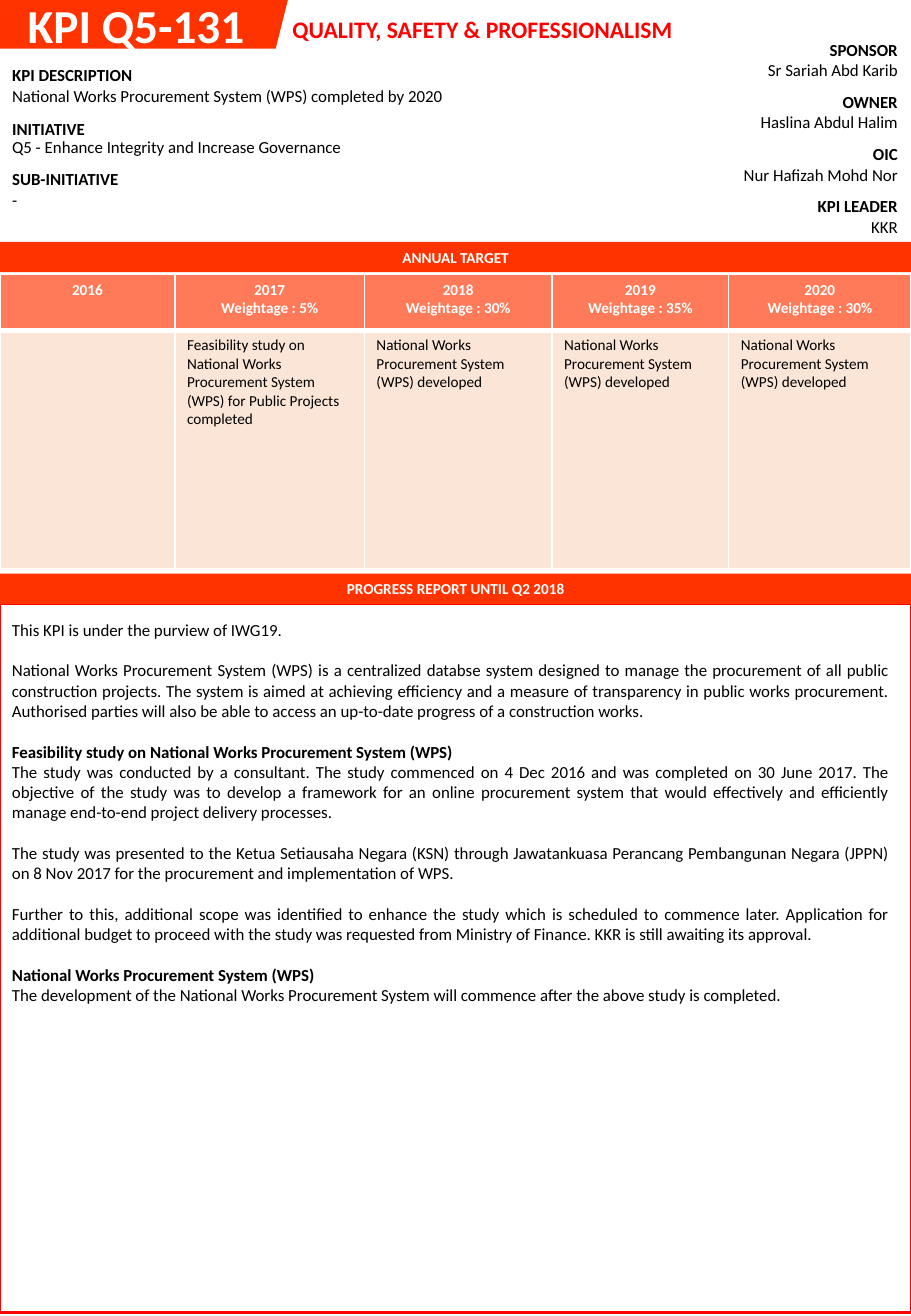
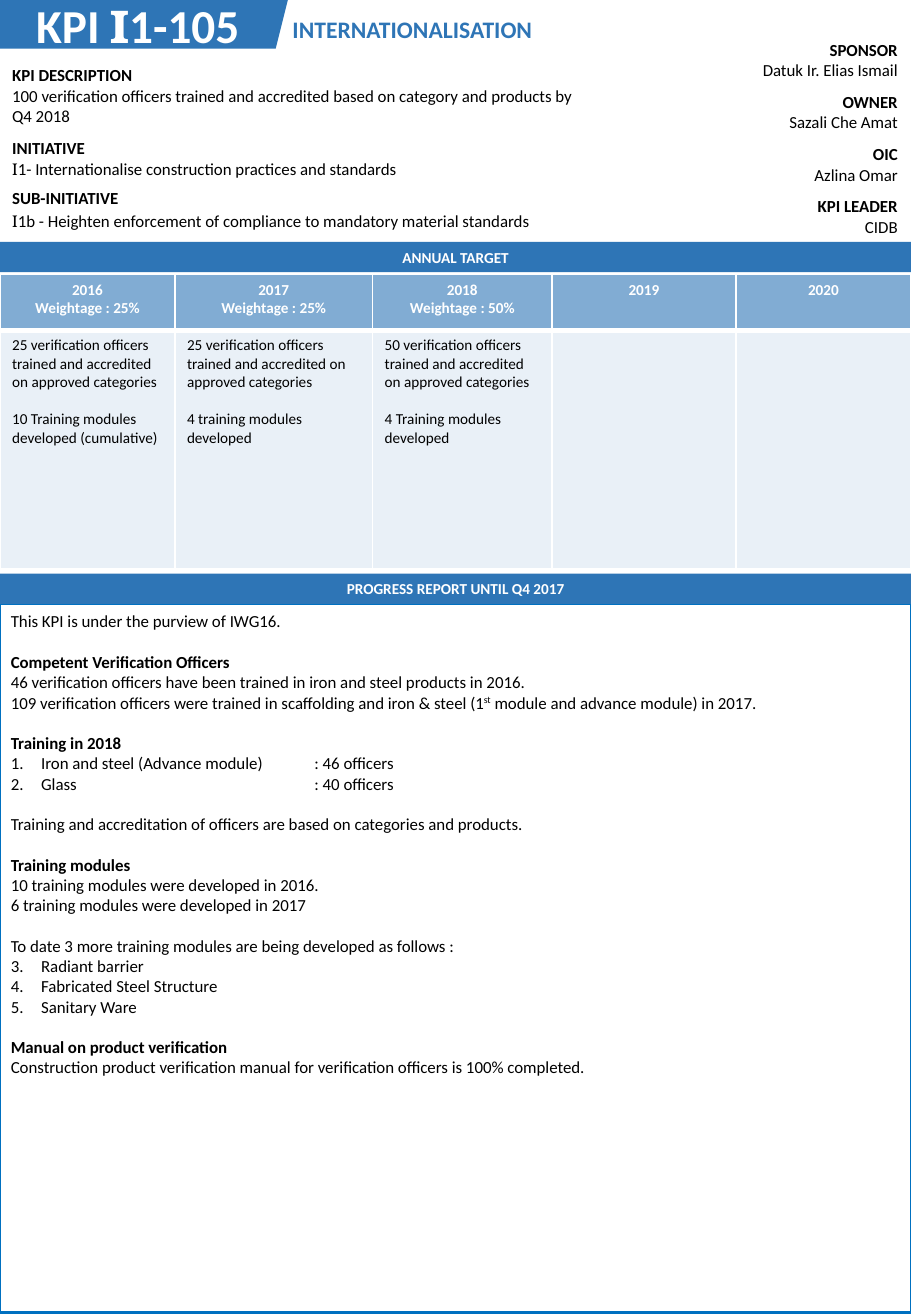
from dataclasses import dataclass

from lxml.etree import SubElement
from pptx import Presentation
from pptx.dml.color import RGBColor
from pptx.dml.fill import FillFormat
from pptx.enum.shapes import MSO_SHAPE
from pptx.enum.text import MSO_ANCHOR, PP_ALIGN
from pptx.oxml.ns import qn
from pptx.shapes.autoshape import Shape
from pptx.slide import Slide
from pptx.table import Table, _Cell
from pptx.text.text import TextFrame, _Paragraph
from pptx.util import Inches, Pt

PAGE_W, PAGE_H = 7.5, 10.83
BAND_H = 0.25
TARGET_TOP, REPORT_TOP = 1.99, 4.72
REPORT_BODY_TOP = REPORT_TOP + BAND_H
TARGET_ROWS = (0.46, 1.96)
PEOPLE_ROW = 0.43
PEOPLE = ("SPONSOR", "OWNER", "OIC", "KPI LEADER")
SUMMARY = ("KPI DESCRIPTION", "INITIATIVE", "SUB-INITIATIVE")
SUMMARY_ROWS = (0.44, 0.36, 0.2)

WHITE = RGBColor(0xFF, 0xFF, 0xFF)
BLACK = RGBColor(0x00, 0x00, 0x00)
ORANGE = RGBColor(0xFF, 0x33, 0x00)
RED = RGBColor(0xFF, 0x00, 0x00)
PEACH = RGBColor(0xFB, 0xE5, 0xD6)
BLUE = RGBColor(0x2E, 0x75, 0xB6)
BRIGHT_BLUE = RGBColor(0x00, 0x70, 0xC0)
SANS, SERIF = "Calibri", "TeX Gyre Bonum"


@dataclass(frozen=True)
class Run:
    text: str
    font: str = SANS
    raised: bool = False


@dataclass(frozen=True)
class Line:
    """One paragraph; gap is the space before it in points, number its place in a list."""
    content: str | tuple[Run, ...]
    bold: bool = False
    gap: float = 0
    align: PP_ALIGN = PP_ALIGN.LEFT
    spacing: float = 1
    list_start: int = 0


@dataclass(frozen=True)
class Tint:
    color: RGBColor
    opacity: int = 100


@dataclass(frozen=True)
class Target:
    """One year of the annual target; share is its part of the slide width in percent."""
    year: int
    share: float
    weightage: str = ""
    goals: tuple[str, ...] = ()


@dataclass(frozen=True)
class Kpi:
    code: str | tuple[Run, ...]
    code_left: float
    theme: str
    main: RGBColor
    theme_color: RGBColor
    outline: RGBColor
    head_tint: Tint
    body_tint: Tint
    people: tuple[str, ...]
    summary: tuple[str | tuple[Run, ...], ...]
    summary_width: float
    targets: tuple[Target, ...]
    period: str
    report_box: tuple[float, float, float]
    report: tuple[Line, ...]


def number_paragraph(paragraph: _Paragraph, start: int) -> None:
    properties = paragraph._p.get_or_add_pPr()
    properties.set("marL", str(Inches(0.25)))
    properties.set("indent", str(-Inches(0.25)))
    numbering = SubElement(properties, qn("a:buAutoNum"), type="arabicPeriod")
    if start > 1:
        numbering.set("startAt", str(start))
    tabs = SubElement(properties, qn("a:tabLst"))
    SubElement(tabs, qn("a:tab"), pos=str(Inches(2.5)), algn="l")


def write(frame: TextFrame, lines: tuple[Line, ...], size: float, color: RGBColor) -> None:
    for index, line in enumerate(lines):
        paragraph = frame.paragraphs[0] if index == 0 else frame.add_paragraph()
        paragraph.alignment = line.align
        if line.gap:
            paragraph.space_before = Pt(line.gap)
        if line.spacing != 1:
            paragraph.line_spacing = line.spacing
        if line.list_start:
            number_paragraph(paragraph, line.list_start)
        runs = (Run(line.content),) if isinstance(line.content, str) else line.content
        for part in runs:
            run = paragraph.add_run()
            run.text = part.text
            font = run.font
            font.name, font.size, font.bold = part.font, Pt(size), line.bold
            font.color.rgb = color
            if part.raised:
                font._element.set("baseline", "30000")


def add_text(slide: Slide, left: float, top: float, width: float, height: float,
             lines: tuple[Line, ...], size: float, color: RGBColor, wrap: bool = True) -> None:
    box = slide.shapes.add_textbox(Inches(left), Inches(top), Inches(width), Inches(height))
    box.text_frame.word_wrap = wrap
    write(box.text_frame, lines, size, color)


def add_plain_shape(slide: Slide, preset: MSO_SHAPE, left: float, top: float, width: float,
                    height: float, fill: RGBColor | None = None,
                    outline: RGBColor | None = None) -> Shape:
    shape = slide.shapes.add_shape(preset, Inches(left), Inches(top), Inches(width), Inches(height))
    shape.shadow.inherit = False
    if fill is None:
        shape.fill.background()
    else:
        shape.fill.solid()
        shape.fill.fore_color.rgb = fill
    if outline is None:
        shape.line.fill.background()
    else:
        shape.line.color.rgb = outline
        shape.line.width = Pt(1.5)
    return shape


def add_band(slide: Slide, top: float, caption: str, color: RGBColor) -> None:
    band = add_plain_shape(slide, MSO_SHAPE.RECTANGLE, 0, top, PAGE_W, BAND_H, color)
    band.text_frame.vertical_anchor = MSO_ANCHOR.MIDDLE
    write(band.text_frame, (Line(caption, bold=True, align=PP_ALIGN.CENTER),), 9, WHITE)


def add_grid(slide: Slide, left: float, top: float, widths: tuple[float, ...],
             heights: tuple[float, ...]) -> Table:
    """Add a table without banding, with clear cells and narrow margins."""
    table = slide.shapes.add_table(len(heights), len(widths), Inches(left), Inches(top),
                                   Inches(sum(widths)), Inches(sum(heights))).table
    table.first_row = table.horz_banding = False
    for column, width in zip(table.columns, widths):
        column.width = Inches(width)
    for row, height in zip(table.rows, heights):
        row.height = Inches(height)
    for cell in table.iter_cells():
        cell.fill.background()
        cell.margin_left = cell.margin_right = Inches(0.1)
        cell.margin_top = cell.margin_bottom = Inches(0.05)
    return table


def apply_tint(fill: FillFormat, cell: _Cell, tint: Tint) -> None:
    fill.solid()
    fill.fore_color.rgb = tint.color
    if tint.opacity < 100:
        color = cell._tc.tcPr.find(f"{qn('a:solidFill')}/{qn('a:srgbClr')}")
        SubElement(color, qn("a:alpha"), val=str(tint.opacity * 1000))


def add_white_borders(cell: _Cell, top: float, bottom: float) -> None:
    properties = cell._tc.get_or_add_tcPr()
    sides = (("a:lnL", 1), ("a:lnR", 1), ("a:lnT", top), ("a:lnB", bottom))
    for index, (side, width) in enumerate(sides):
        border = SubElement(properties, qn(side), w=str(Pt(width)))
        SubElement(SubElement(border, qn("a:solidFill")), qn("a:srgbClr"), val=str(WHITE))
        properties.insert(index, border)


def add_targets(slide: Slide, kpi: Kpi) -> None:
    widths = tuple(PAGE_W * target.share / 100 for target in kpi.targets)
    table = add_grid(slide, 0, 2.26, widths, TARGET_ROWS)
    for column, target in enumerate(kpi.targets):
        head, body = table.cell(0, column), table.cell(1, column)
        apply_tint(head.fill, head, kpi.head_tint)
        apply_tint(body.fill, body, kpi.body_tint)
        add_white_borders(head, 1, 3)
        add_white_borders(body, 3, 1)
        captions = [str(target.year)]
        if target.weightage:
            captions.append(f"Weightage : {target.weightage}")
        write(head.text_frame, tuple(Line(caption, bold=True, align=PP_ALIGN.CENTER)
                                     for caption in captions), 9, WHITE)
        write(body.text_frame, tuple(Line(goal, gap=11 if index else 0)
                                     for index, goal in enumerate(target.goals)), 9, BLACK)


def add_people(slide: Slide, kpi: Kpi) -> None:
    table = add_grid(slide, 5.05, 0.28, (2.44,), (PEOPLE_ROW,) * len(PEOPLE))
    for row, (role, person) in enumerate(zip(PEOPLE, kpi.people)):
        cell = table.cell(row, 0)
        cell.margin_bottom = Inches(0.04)
        write(cell.text_frame, (Line(role, bold=True, align=PP_ALIGN.RIGHT),
                                Line(person, align=PP_ALIGN.RIGHT)), 10, BLACK)


def add_summary(slide: Slide, kpi: Kpi) -> None:
    table = add_grid(slide, 0, 0.49, (kpi.summary_width,), SUMMARY_ROWS)
    for row, (heading, content) in enumerate(zip(SUMMARY, kpi.summary)):
        spacing = 0.88 if heading == "INITIATIVE" else 1
        write(table.cell(row, 0).text_frame,
              (Line(heading, bold=True), Line(content, spacing=spacing)), 10, BLACK)


def add_kpi_slide(deck: Presentation, kpi: Kpi) -> None:
    slide = deck.slides.add_slide(deck.slide_layouts[6])
    add_plain_shape(slide, MSO_SHAPE.PARALLELOGRAM, -0.17, 0, 2.54, 0.4, kpi.main)
    add_targets(slide, kpi)
    add_plain_shape(slide, MSO_SHAPE.RECTANGLE, 0, REPORT_BODY_TOP, PAGE_W, 5.83,
                    outline=kpi.outline)
    add_people(slide, kpi)
    add_summary(slide, kpi)
    add_text(slide, 2.31, 0.07, 3.46, 0.34, (Line(kpi.theme, bold=True),), 14,
             kpi.theme_color, wrap=False)
    add_text(slide, kpi.code_left, -0.08, 2.4, 0.57, (Line(kpi.code, bold=True),), 28, WHITE)
    add_band(slide, REPORT_TOP, f"PROGRESS REPORT UNTIL {kpi.period}", kpi.main)
    add_band(slide, TARGET_TOP, "ANNUAL TARGET", kpi.main)
    left, top, width = kpi.report_box
    add_text(slide, left, top, width, 3.9, kpi.report, 10, BLACK)


GAP = 12
JUSTIFY = PP_ALIGN.JUSTIFY
DEVELOPED = ("National Works Procurement System (WPS) developed",)
TRAINED = "verification officers trained and accredited on approved categories"

QUALITY = Kpi(
    "KPI Q5-131", 0.13, "QUALITY, SAFETY & PROFESSIONALISM", ORANGE, RED, RED,
    Tint(ORANGE, 65), Tint(PEACH),
    ("Sr Sariah Abd Karib", "Haslina Abdul Halim", "Nur Hafizah Mohd Nor", "KKR"),
    ("National Works Procurement System (WPS) completed by 2020",
     "Q5 - Enhance Integrity and Increase Governance", "-"), 4.81,
    (Target(2016, 19.2),
     Target(2017, 20.8, "5%", ("Feasibility study on National Works Procurement System (WPS) "
                               "for Public Projects completed",)),
     Target(2018, 20.6, "30%", DEVELOPED), Target(2019, 19.4, "35%", DEVELOPED),
     Target(2020, 20, "30%", DEVELOPED)),
    "Q2 2018", (0, 5.05, 7.41),
    (Line("This KPI is under the purview of IWG19."),
     Line("National Works Procurement System (WPS) is a centralized databse system designed to "
          "manage the procurement of all public construction projects. The system is aimed at "
          "achieving efficiency and a measure of transparency in public works procurement. "
          "Authorised parties will also be able to access an up-to-date progress of a "
          "construction works.", gap=GAP, align=JUSTIFY),
     Line("Feasibility study on National Works Procurement System (WPS)", True, GAP, JUSTIFY),
     Line("The study was conducted by a consultant. The study commenced on 4 Dec 2016 and was "
          "completed on 30 June 2017. The objective of the study was to develop a framework for "
          "an online procurement system that would effectively and efficiently manage end-to-end "
          "project delivery processes.", align=JUSTIFY),
     Line("The study was presented to the Ketua Setiausaha Negara (KSN) through Jawatankuasa "
          "Perancang Pembangunan Negara (JPPN) on 8 Nov 2017 for the procurement and "
          "implementation of WPS.", gap=GAP, align=JUSTIFY),
     Line("Further to this, additional scope was identified to enhance the study which is "
          "scheduled to commence later. Application for additional budget to proceed with the "
          "study was requested from Ministry of Finance. KKR is still awaiting its approval.",
          gap=GAP, align=JUSTIFY),
     Line("National Works Procurement System (WPS)", True, GAP, JUSTIFY),
     Line("The development of the National Works Procurement System will commence after the "
          "above study is completed.", align=JUSTIFY)))

INTERNATIONAL = Kpi(
    (Run("KPI "), Run("I", SERIF), Run("1-105")), 0.2, "INTERNATIONALISATION",
    BLUE, BLUE, BRIGHT_BLUE, Tint(BLUE, 60), Tint(BLUE, 10),
    ("Datuk Ir. Elias Ismail", "Sazali Che Amat", "Azlina Omar", "CIDB"),
    ("100 verification officers trained and accredited based on category and products by Q4 2018",
     (Run("I", SERIF), Run("1- Internationalise construction practices and standards")),
     (Run("I", SERIF),
      Run("1b - Heighten enforcement of compliance to mandatory material standards"))), 4.94,
    (Target(2016, 19.2, "25%", (f"25 {TRAINED}", "10 Training modules developed (cumulative)")),
     Target(2017, 21.7, "25%", (f"25 {TRAINED}", "4 training modules developed")),
     Target(2018, 19.7, "50%", (f"50 {TRAINED}", "4 Training modules developed")),
     Target(2019, 20.2), Target(2020, 19.2)),
    "Q4 2017", (-0.01, 4.98, 7.51),
    (Line("This KPI is under the purview of IWG16."),
     Line("Competent Verification Officers", True, GAP),
     Line("46 verification officers have been trained in iron and steel products in 2016."),
     Line((Run("109 verification officers were trained in scaffolding and iron & steel (1"),
           Run("st", raised=True), Run(" module and advance module) in 2017."))),
     Line("Training in 2018", True, GAP),
     Line("Iron and steel (Advance module)\t: 46 officers", list_start=1),
     Line("Glass\t: 40 officers", list_start=1),
     Line("Training and accreditation of officers are based on categories and products.", gap=GAP),
     Line("Training modules", True, GAP),
     Line("10 training modules were developed in 2016."),
     Line("6 training modules were developed in 2017"),
     Line("To date 3 more training modules are being developed as follows :", gap=GAP),
     *(Line(module, list_start=3)
       for module in ("Radiant barrier", "Fabricated Steel Structure", "Sanitary Ware")),
     Line("Manual on product verification", True, GAP),
     Line("Construction product verification manual for verification officers is 100% "
          "completed.")))


def main() -> None:
    deck = Presentation()
    deck.slide_width, deck.slide_height = Inches(PAGE_W), Inches(PAGE_H)
    for kpi in (QUALITY, INTERNATIONAL):
        add_kpi_slide(deck, kpi)
    deck.save("out.pptx")


if __name__ == "__main__":
    main()
